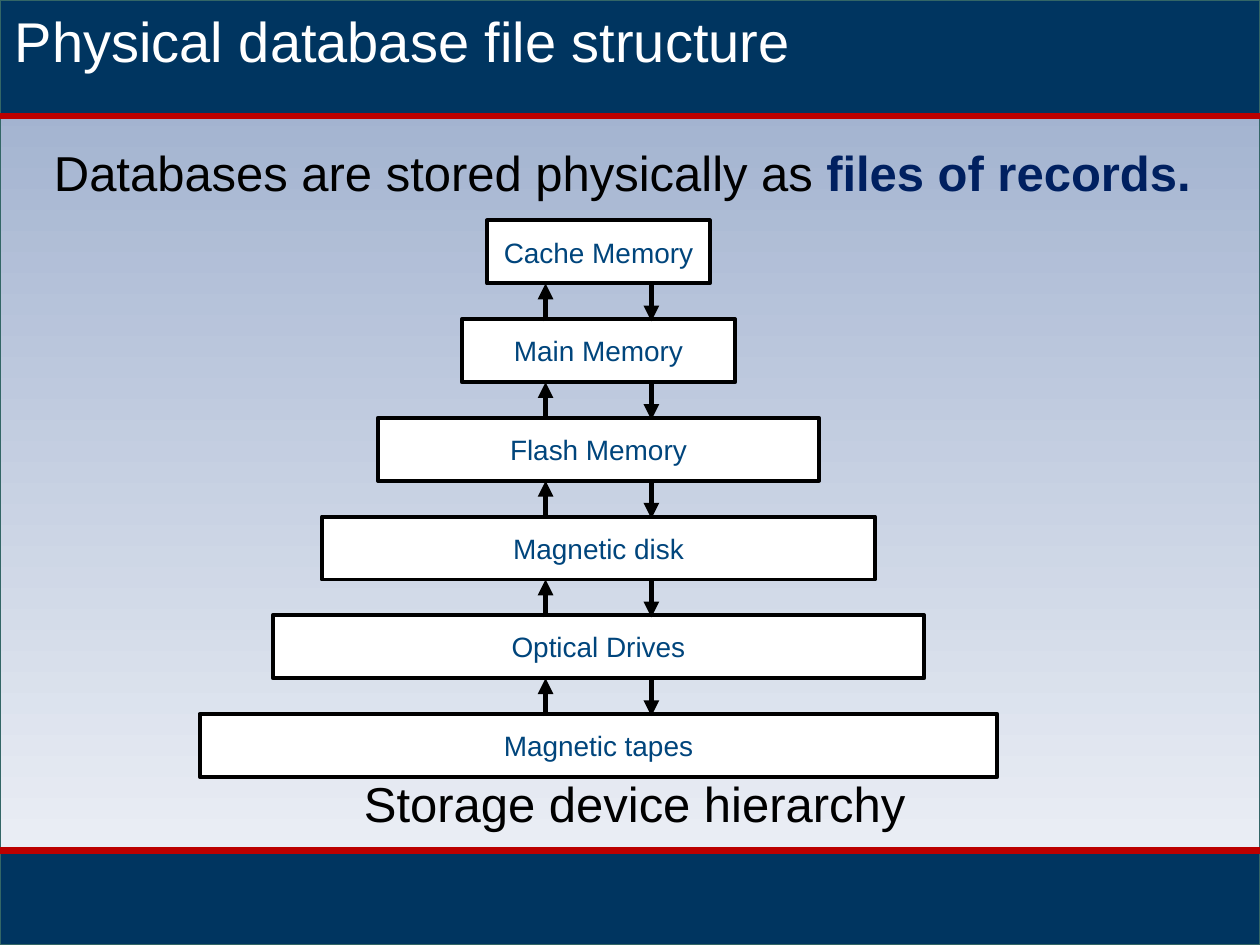
"""Builds a slide showing the storage device hierarchy as a stepped pyramid."""
from lxml import etree
from pptx import Presentation
from pptx.dml.color import RGBColor
from pptx.enum import shapes, text
from pptx.oxml import ns
from pptx.util import Inches, Pt

NAVY = RGBColor(0x00, 0x35, 0x60)
RED = RGBColor(0xBC, 0x00, 0x00)
TEAL = RGBColor(0x33, 0x66, 0x66)
SKY_TOP = RGBColor(0x99, 0xAB, 0xCB)
SKY_BOTTOM = RGBColor(0xF3, 0xF5, 0xF9)
LABEL_BLUE = RGBColor(0x00, 0x45, 0x7C)
EMPHASIS = RGBColor(0x00, 0x20, 0x60)
WHITE = RGBColor(0xFF, 0xFF, 0xFF)
BLACK = RGBColor(0x00, 0x00, 0x00)

FONT = "Arial"
WIDTH, HEIGHT = 10, 7.5
HEADER_BOTTOM, FOOTER_TOP = 0.92, 6.75

TITLE = [("Physical database file structure", WHITE, False)]
STATEMENT = [
    ("Databases are stored physically as ", BLACK, False),
    ("files of records.", EMPHASIS, True),
]
CAPTION = [("Storage device hierarchy", BLACK, False)]
LEVELS = [
    ("Cache Memory", 1.77),
    ("Main Memory", 2.17),
    ("Flash Memory", 3.5),
    ("Magnetic disk", 4.39),
    ("Optical Drives", 5.17),
    ("Magnetic tapes", 6.33),
]
CENTER, FIRST_TOP, LEVEL_HEIGHT = 4.75, 1.75, 0.5
PITCH = 4.7 / 6
UP_X, DOWN_X, ARROW_LENGTH = 4.33, 5.17, 0.3


def add_box(slide, left, top, width, height, fill, outline, weight):
    box = slide.shapes.add_shape(
        shapes.MSO_SHAPE.RECTANGLE,
        Inches(left), Inches(top), Inches(width), Inches(height))
    box.shadow.inherit = False
    if fill is not None:
        box.fill.solid()
        box.fill.fore_color.rgb = fill
    box.line.color.rgb = outline
    box.line.width = Pt(weight)
    return box


def add_line(slide, start, end, color, weight, arrow=False):
    line = slide.shapes.add_connector(
        shapes.MSO_CONNECTOR.STRAIGHT, *[Inches(v) for v in (*start, *end)])
    line.line.color.rgb = color
    line.line.width = Pt(weight)
    if arrow:
        etree.SubElement(line.line._get_or_add_ln(), ns.qn("a:tailEnd"), type="triangle")
    etree.SubElement(line._element.spPr, ns.qn("a:effectLst"))


def add_words(slide, left, top, width, height, words, size, wrap):
    frame = slide.shapes.add_textbox(
        Inches(left), Inches(top), Inches(width), Inches(height)).text_frame
    frame.word_wrap = wrap
    paragraph = frame.paragraphs[0]
    for wording, color, bold in words:
        run = paragraph.add_run()
        run.text = wording
        run.font.name = FONT
        run.font.size = Pt(size)
        run.font.color.rgb = color
        run.font.bold = bold


def add_backdrop(slide):
    sky = add_box(slide, 0, 0, WIDTH, HEIGHT, None, TEAL, 0.75)
    sky.fill.gradient()
    sky.fill.gradient_angle = 270
    for stop, color, position in zip(sky.fill.gradient_stops, (SKY_TOP, SKY_BOTTOM), (0, 1)):
        stop.color.rgb = color
        stop.position = position
    add_box(slide, 0, FOOTER_TOP, WIDTH, HEIGHT - FOOTER_TOP, NAVY, TEAL, 0.75)
    add_box(slide, 0, 0, WIDTH, HEADER_BOTTOM, NAVY, TEAL, 0.75)
    for y in (HEADER_BOTTOM, FOOTER_TOP):
        add_line(slide, (0, y), (WIDTH, y), RED, 3.75)


def add_hierarchy(slide):
    tops = [FIRST_TOP + i * PITCH for i in range(len(LEVELS))]
    for (label, width), top in zip(LEVELS, tops):
        level = add_box(slide, CENTER - width / 2, top, width, LEVEL_HEIGHT, WHITE, BLACK, 2.25)
        frame = level.text_frame
        frame.text = label
        frame.vertical_anchor = text.MSO_ANCHOR.MIDDLE
        paragraph = frame.paragraphs[0]
        paragraph.alignment = text.PP_ALIGN.CENTER
        font = paragraph.runs[0].font
        font.name = FONT
        font.size = Pt(16)
        font.color.rgb = LABEL_BLUE
    for top in tops[:-1]:
        upper = top + LEVEL_HEIGHT
        lower = upper + ARROW_LENGTH
        add_line(slide, (UP_X, lower), (UP_X, upper), BLACK, 3, arrow=True)
        add_line(slide, (DOWN_X, upper), (DOWN_X, lower), BLACK, 3, arrow=True)


def main():
    deck = Presentation()
    deck.slide_width, deck.slide_height = Inches(WIDTH), Inches(HEIGHT)
    slide = deck.slides.add_slide(deck.slide_layouts[6])
    add_backdrop(slide)
    add_words(slide, 0.02, 0, 9.98, 0.64, TITLE, 32, True)
    add_words(slide, 0.33, 1.08, 9.34, 0.57, STATEMENT, 28, False)
    add_hierarchy(slide)
    add_words(slide, 2.79, 6.09, 4.55, 0.57, CAPTION, 28, False)
    deck.save("out.pptx")


if __name__ == "__main__":
    main()
